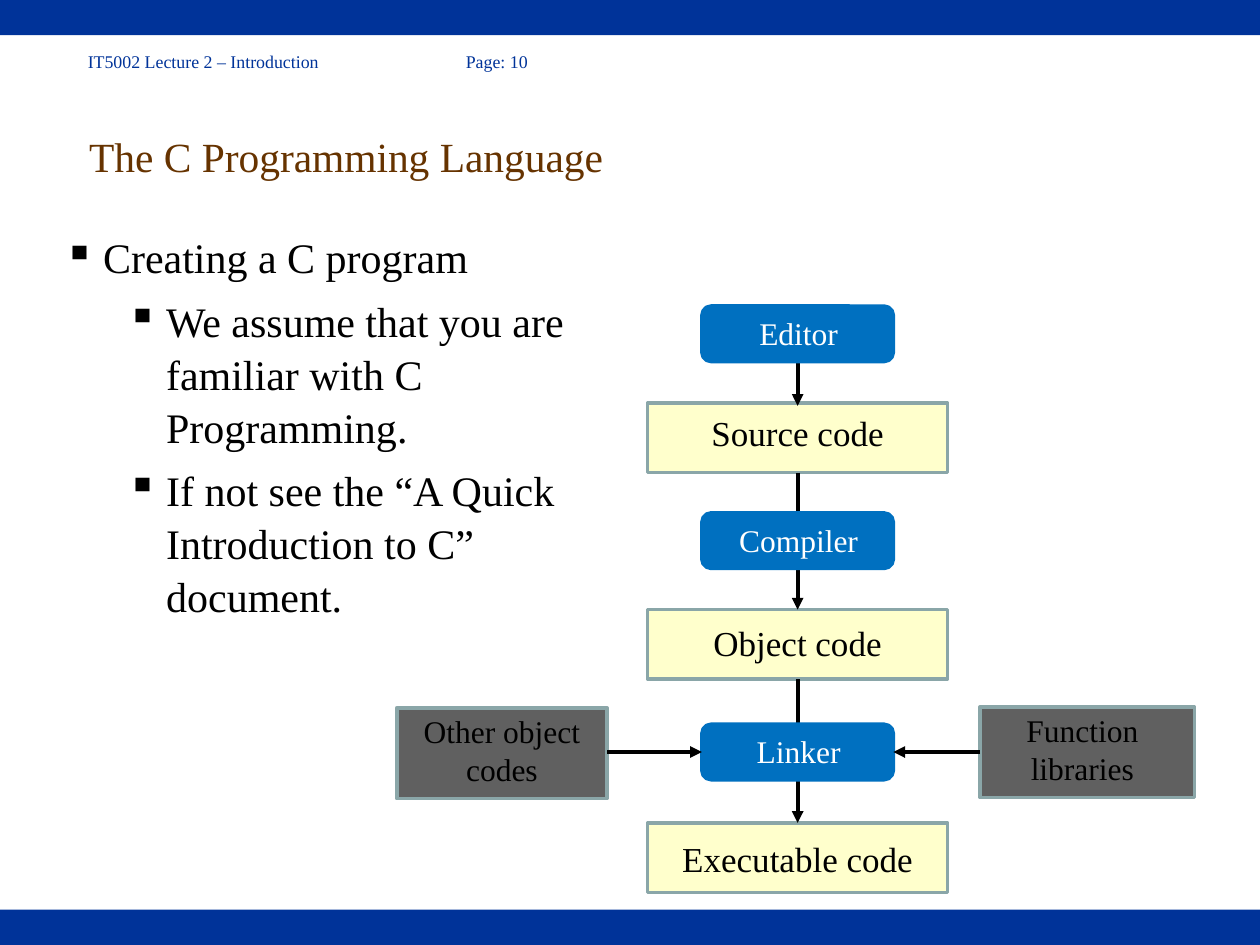
from lxml.etree import SubElement
from pptx import Presentation
from pptx.dml.color import RGBColor
from pptx.enum.shapes import MSO_CONNECTOR, MSO_SHAPE
from pptx.enum.text import MSO_ANCHOR, PP_ALIGN
from pptx.oxml.ns import qn
from pptx.util import Cm, Pt

NAVY = RGBColor(0x00, 0x33, 0x99)
BROWN = RGBColor(0x66, 0x33, 0x00)
BLACK = RGBColor(0x00, 0x00, 0x00)
WHITE = RGBColor(0xFF, 0xFF, 0xFF)
CREAM = RGBColor(0xFF, 0xFF, 0xCC)
BLUE = RGBColor(0x00, 0x70, 0xC0)
GREY = RGBColor(0x60, 0x60, 0x60)
SAGE = RGBColor(0x8A, 0xA6, 0xA8)

FONT = "Times New Roman"
SLIDE_W, SLIDE_H = 25.4, 19.05
BAND_H = 0.71
CENTRE_X = 16.08
CODE_W, CODE_H = 6.05, 1.4
TOOL_W, TOOL_H = 3.86, 1.12


def write(p, text, size=18, color=BLACK, align=PP_ALIGN.LEFT):
    p.alignment = align
    r = p.add_run()
    r.text = text
    r.font.name = FONT
    r.font.size = Pt(size)
    r.font.color.rgb = color


def add_text(shapes, x, y, w, h, text, anchor=MSO_ANCHOR.TOP, inset=0.25, **fmt):
    tf = shapes.add_textbox(Cm(x), Cm(y), Cm(w), Cm(h)).text_frame
    tf.word_wrap = True
    tf.vertical_anchor = anchor
    tf.margin_left = tf.margin_right = Cm(inset)
    write(tf.paragraphs[0], text, **fmt)


def add_panel(shapes, x, y, w, h, fill, line=None, kind=MSO_SHAPE.RECTANGLE):
    sp = shapes.add_shape(kind, Cm(x), Cm(y), Cm(w), Cm(h))
    sp.shadow.inherit = False
    sp.fill.solid()
    sp.fill.fore_color.rgb = fill
    if line is None:
        sp.line.fill.background()
    else:
        sp.line.color.rgb = line
        sp.line.width = Pt(2)


def add_code(s, y, text, dy):
    """Rectangle for a file of code; dy is the drop of its label."""
    x = CENTRE_X - CODE_W / 2
    shapes = s.shapes.add_group_shape().shapes
    add_panel(shapes, x, y, CODE_W, CODE_H, CREAM, SAGE)
    add_text(shapes, x, y + dy, CODE_W, 1.12, text, size=20, align=PP_ALIGN.CENTER)


def add_tool(s, y, text):
    """Rounded box for a program that turns one file into the next."""
    shapes = s.shapes.add_group_shape().shapes
    add_panel(shapes, CENTRE_X - TOOL_W / 2, y, TOOL_W, TOOL_H, BLUE, BLUE,
              MSO_SHAPE.ROUNDED_RECTANGLE)
    add_text(shapes, CENTRE_X - 1.68, y + 0.04, 3.4, 1.02, text,
             color=WHITE, align=PP_ALIGN.CENTER)


def add_linker_input(s, x, y, w, text, label_w):
    shapes = s.shapes.add_group_shape().shapes
    add_panel(shapes, x, y, w, 1.83, GREY, SAGE)
    add_text(shapes, x, y - 0.04, label_w, 1.8, text, align=PP_ALIGN.CENTER)


def add_arrow(s, x1, y1, x2, y2):
    c = s.shapes.add_connector(MSO_CONNECTOR.STRAIGHT, Cm(x1), Cm(y1), Cm(x2), Cm(y2))
    c.line.color.rgb = BLACK
    c.line.width = Pt(2.25)
    SubElement(c.line._get_or_add_ln(), qn("a:tailEnd"), type="triangle")
    SubElement(c._element.spPr, qn("a:effectLst"))


def add_bullets(s, x, y, w, h, items):
    """items holds pairs of level and text."""
    tf = s.shapes.add_textbox(Cm(x), Cm(y), Cm(w), Cm(h)).text_frame
    tf.word_wrap = True
    for i, (level, text) in enumerate(items):
        p = tf.add_paragraph() if i else tf.paragraphs[0]
        p.level = level
        p.line_spacing = 1.05
        p.space_after = Pt(6)
        pPr = p._p.get_or_add_pPr()
        pPr.set("marL", str(Cm(0.79 + 1.27 * level)))
        pPr.set("indent", str(Cm(-0.79)))
        SubElement(pPr, qn("a:buChar"), char="▪")
        write(p, text, size=24)


def add_frame(s):
    for y in (SLIDE_H - BAND_H, 0):
        add_panel(s.shapes, 0, y, SLIDE_W, BAND_H, NAVY)
    add_text(s.shapes, 1.52, 0.89, 18.11, 0.69,
             "IT5002 Lecture 2 – Introduction\t\t\tPage: 10", size=10.2, color=NAVY)
    add_text(s.shapes, 1.52, 1.55, 18.11, 3.18, "The C Programming Language",
             anchor=MSO_ANCHOR.MIDDLE, inset=0.28, size=23.7, color=BROWN)


def add_build_flow(s):
    source_y, object_y, executable_y = 8.13, 12.29, 16.59
    editor_y, compiler_y, linker_y = 6.17, 10.34, 14.6
    add_code(s, source_y, "Source code", 0.05)
    add_code(s, object_y, "Object code", 0.11)
    add_code(s, executable_y, "Executable code", 0.17)

    for y1, y2 in ((editor_y + TOOL_H, source_y + 0.05),
                   (source_y + CODE_H, object_y),
                   (object_y + CODE_H, executable_y)):
        add_arrow(s, CENTRE_X, y1, CENTRE_X, y2)
    for y, text in ((editor_y, "Editor"), (compiler_y, "Compiler"), (linker_y, "Linker")):
        add_tool(s, y, text)

    add_linker_input(s, 8, 14.27, 4.24, "Other object codes", 4.24)
    add_linker_input(s, 19.76, 14.25, 4.32, "Function libraries", 4.12)
    mid_y = linker_y + TOOL_H / 2
    add_arrow(s, 12.24, mid_y, CENTRE_X - TOOL_W / 2, mid_y)
    add_arrow(s, 19.76, mid_y, CENTRE_X + TOOL_W / 2, mid_y)


def main():
    prs = Presentation()
    prs.slide_width, prs.slide_height = Cm(SLIDE_W), Cm(SLIDE_H)
    s = prs.slides.add_slide(prs.slide_layouts[6])
    add_frame(s)
    add_bullets(s, 1.04, 4.5, 11.2, 7.87, [
        (0, "Creating a C program"),
        (1, "We assume that you are familiar with C Programming."),
        (1, "If not see the “A Quick Introduction to C” document."),
    ])
    add_build_flow(s)
    prs.save("out.pptx")


if __name__ == "__main__":
    main()
